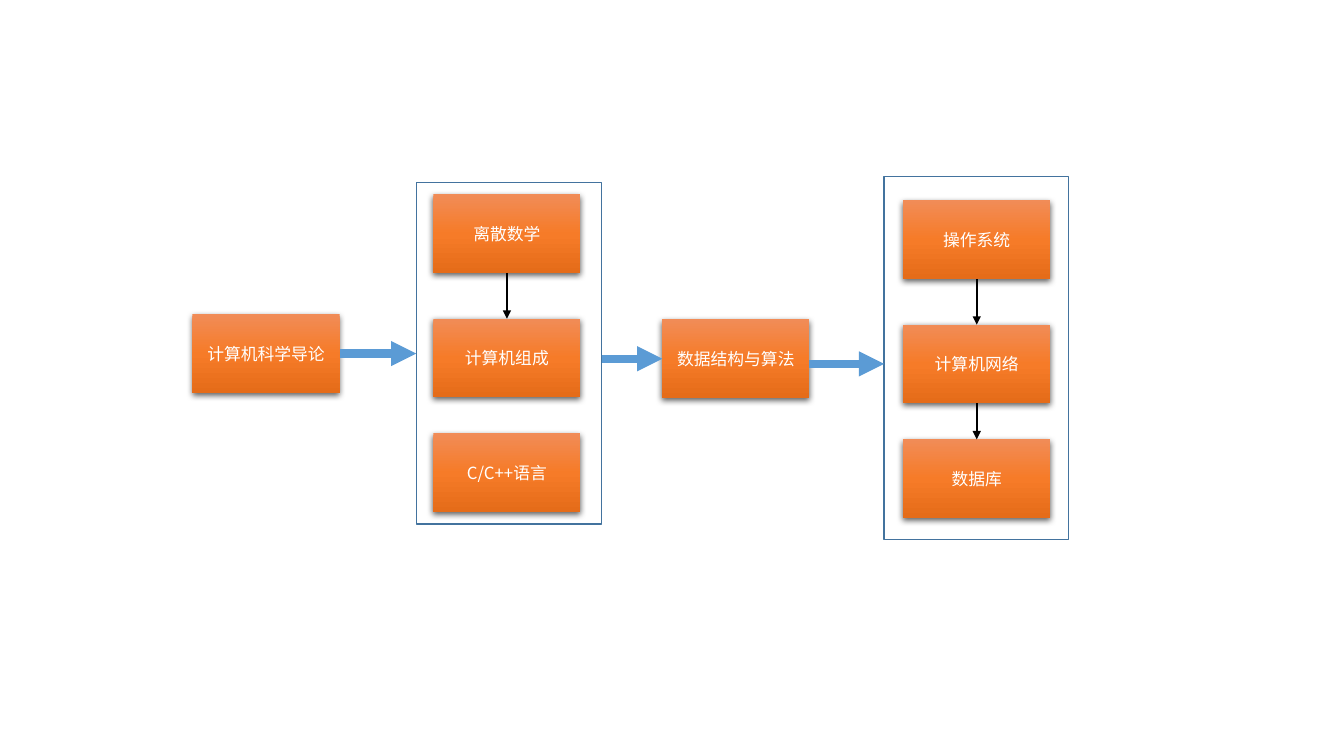
from copy import deepcopy

from lxml import etree
from pptx import Presentation
from pptx.dml.color import RGBColor
from pptx.enum.shapes import MSO_CONNECTOR, MSO_SHAPE
from pptx.enum.text import MSO_ANCHOR, PP_ALIGN
from pptx.oxml.ns import qn
from pptx.util import Cm, Pt

RECTANGLE = MSO_SHAPE.RECTANGLE
STRAIGHT = MSO_CONNECTOR.STRAIGHT
MIDDLE = MSO_ANCHOR.MIDDLE
CENTER = PP_ALIGN.CENTER

COLORS = {
    "card_top": "F18C57",
    "card_middle": "F67B28",
    "card_bottom": "E56C19",
    "card_text": "FFFFFF",
    "shadow": "000000",
    "frame": "43739E",
    "stage_arrow": "5B9BD5",
    "course_arrow": "000000",
}
FONT = "Noto Sans CJK SC"
CARD_GRADIENT = [(0, "card_top"), (0.5, "card_middle"), (1, "card_bottom")]
CARD_SHADOW = {"blurRad": Pt(4.5), "dist": Pt(1.5), "dir": 5400000, "rotWithShape": 0}
CARD_WIDTH, CARD_HEIGHT = 3.71, 1.98
CARD_STEPS = [0, 3.13, 6.02]


def rgb(name):
    """Return the named colour."""
    return RGBColor.from_string(COLORS[name])


def add_effects(properties, shadow=None):
    """Give shape properties an effect list, empty unless a shadow is wanted."""
    effects = etree.SubElement(properties, qn("a:effectLst"))
    if shadow:
        outer = etree.SubElement(effects, qn("a:outerShdw"))
        for key, value in shadow.items():
            outer.set(key, str(int(value)))
        tone = etree.SubElement(outer, qn("a:srgbClr"), val=COLORS["shadow"])
        etree.SubElement(tone, qn("a:alpha"), val="63000")


def add_course(slide, name, left, top):
    """Draw one course card."""
    card = slide.shapes.add_shape(
        RECTANGLE, Cm(left), Cm(top), Cm(CARD_WIDTH), Cm(CARD_HEIGHT))
    card.line.fill.background()
    card.fill.gradient()
    card.fill.gradient_angle = 270
    stop_list = card.fill._xPr.find(".//" + qn("a:gsLst"))
    stop_list.append(deepcopy(stop_list[0]))
    for stop, (position, tone) in zip(card.fill.gradient_stops, CARD_GRADIENT):
        stop.position = position
        stop.color.rgb = rgb(tone)
    add_effects(card._element.spPr, CARD_SHADOW)

    card.text_frame.word_wrap = True
    card.text_frame.vertical_anchor = MIDDLE
    paragraph = card.text_frame.paragraphs[0]
    paragraph.alignment = CENTER
    label = paragraph.add_run()
    label.text = name
    for key, value in {"size": Pt(12), "name": FONT}.items():
        setattr(label.font, key, value)
    label.font.color.rgb = rgb("card_text")
    etree.SubElement(label._r.get_or_add_rPr(), qn("a:ea"), typeface=FONT)


def add_arrow(slide, start, end, tone, width):
    """Draw an arrow between two points."""
    arrow = slide.shapes.add_connector(STRAIGHT, *map(Cm, start + end))
    arrow.line.color.rgb = rgb(tone)
    arrow.line.width = Pt(width)
    etree.SubElement(arrow.line._get_or_add_ln(), qn("a:tailEnd"), type="triangle")
    add_effects(arrow._element.spPr)


def add_stage(slide, box, padding, courses, linked):
    """Draw a framed column of courses, joining the first linked ones in order."""
    left, top, width, height = box
    inset_x, inset_y = padding
    card_left = left + inset_x
    card_tops = [top + inset_y + step for step in CARD_STEPS]
    for name, card_top in zip(courses, card_tops):
        add_course(slide, name, card_left, card_top)

    frame = slide.shapes.add_shape(RECTANGLE, *map(Cm, box))
    frame.fill.background()
    frame.line.color.rgb = rgb("frame")
    frame.line.width = Pt(1)
    frame.shadow.inherit = False

    middle = card_left + CARD_WIDTH / 2
    for upper, lower in zip(card_tops[:linked], card_tops[1:linked]):
        add_arrow(slide, (middle, upper + CARD_HEIGHT), (middle, lower),
                  "course_arrow", 1.5)


def add_roadmap(slide):
    """Draw the course roadmap from left to right."""
    intro_left, intro_top = 4.85, 7.92
    structures_left, structures_top = 16.69, 8.05
    basics = (10.49, 4.6, 4.67, 8.61)
    systems = (22.28, 4.45, 4.65, 9.14)

    add_course(slide, "计算机科学导论", intro_left, intro_top)
    add_stage(slide, basics, (0.43, 0.3),
              ["离散数学", "计算机组成", "C/C++语言"], linked=2)
    add_course(slide, "数据结构与算法", structures_left, structures_top)
    add_stage(slide, systems, (0.48, 0.6),
              ["操作系统", "计算机网络", "数据库"], linked=3)

    half = CARD_HEIGHT / 2
    stage_links = [
        (intro_left + CARD_WIDTH, basics[0], intro_top + half),
        (basics[0] + basics[2], structures_left, structures_top + half),
        (structures_left + CARD_WIDTH, systems[0], 9.17),
    ]
    for start, end, level in stage_links:
        add_arrow(slide, (start, level), (end, level), "stage_arrow", 6)


def main():
    """Build and save the presentation."""
    deck = Presentation()
    deck.slide_width, deck.slide_height = Cm(33.87), Cm(19.05)
    add_roadmap(deck.slides.add_slide(deck.slide_layouts[6]))
    deck.save("out.pptx")


if __name__ == "__main__":
    main()
